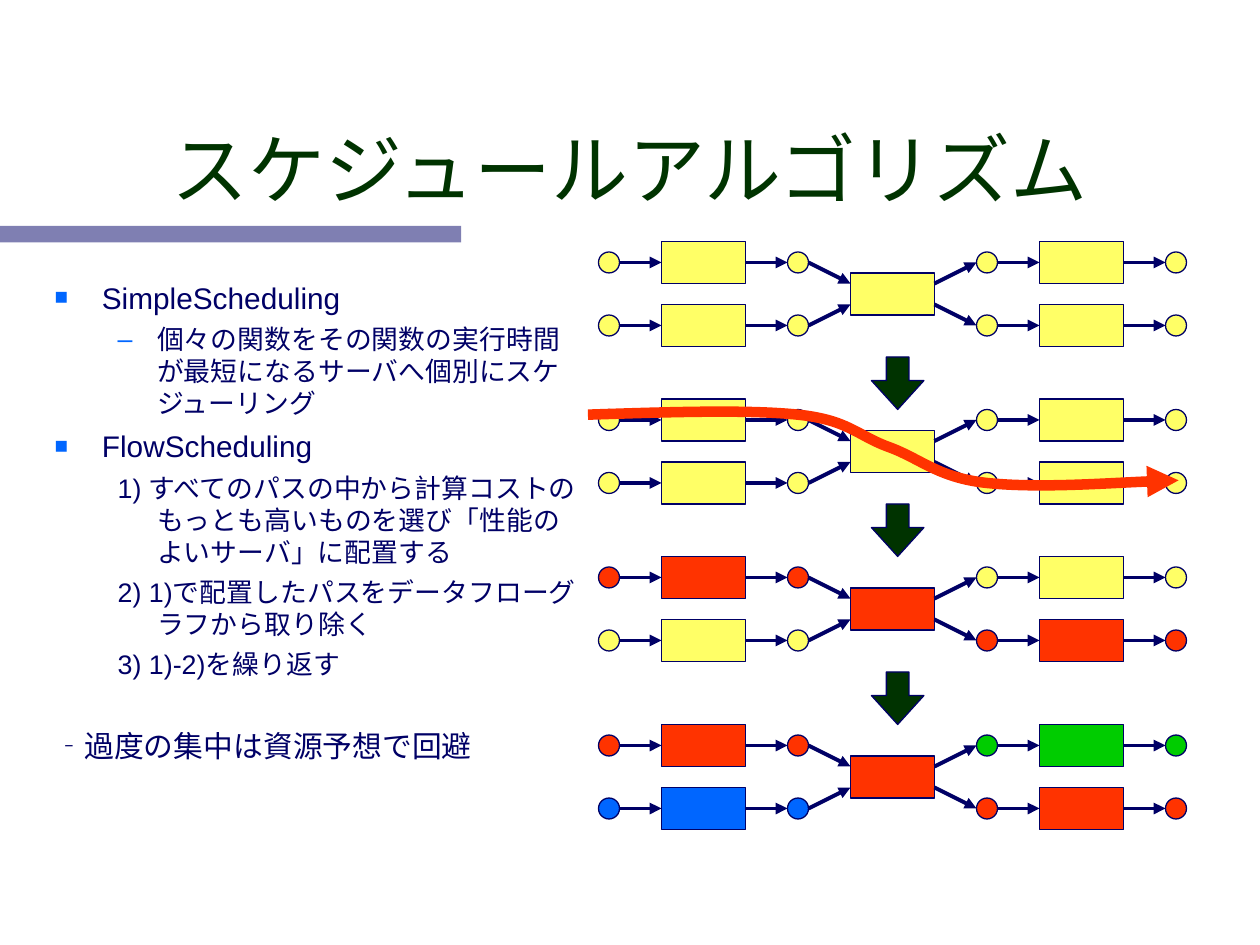
from dataclasses import dataclass
from itertools import product

from lxml import etree
from pptx import Presentation
from pptx.dml.color import RGBColor
from pptx.enum.shapes import MSO_CONNECTOR, MSO_SHAPE
from pptx.enum.text import MSO_ANCHOR, MSO_AUTO_SIZE, PP_ALIGN
from pptx.oxml.ns import qn
from pptx.util import Pt

RECT, OVAL, DOWN = MSO_SHAPE.RECTANGLE, MSO_SHAPE.OVAL, MSO_SHAPE.DOWN_ARROW
LINE = MSO_CONNECTOR.STRAIGHT
LEFT, CENTER = PP_ALIGN.LEFT, PP_ALIGN.CENTER
TOP, BOTTOM = MSO_ANCHOR.TOP, MSO_ANCHOR.BOTTOM
FIXED = MSO_AUTO_SIZE.NONE


@dataclass(frozen=True)
class Theme:
    font: str = "Arial"
    ink: str = "000066"
    dark: str = "003300"
    blue: str = "0066FF"
    red: str = "FF3300"
    green: str = "00CC00"
    yellow: str = "FFFF66"
    title: float = 44
    head: float = 17
    text: float = 15.3
    edge: float = 0.75
    link: float = 2.25
    flow: float = 6


THEME = Theme()
Y, R, G, B = THEME.yellow, THEME.red, THEME.green, THEME.blue

ITEMS = [
    ("SimpleScheduling", "head", "■", 0),
    ("個々の関数をその関数の実行時間が最短になるサーバへ個別にスケジューリング", "sub", "–", 4.5),
    ("FlowScheduling", "head", "■", 5),
    ("1) すべてのパスの中から計算コストのもっとも高いものを選び「性能のよいサーバ」に配置する", "sub", None, 4.5),
    ("2) 1)で配置したパスをデータフローグラフから取り除く", "sub", None, 4.5),
    ("3) 1)-2)を繰り返す", "sub", None, 4.5),
    ("‐過度の集中は資源予想で回避", "head", None, 27),
]
KINDS = {
    "head": {"level": 0, "size": THEME.head, "left": 27, "hang": 27, "scale": 75},
    "sub": {"level": 1, "size": THEME.text, "left": 58.5, "hang": 22.5, "scale": 100},
}
STAGES = [
    (138, (Y, Y, Y, Y, Y)),
    (228, (Y, Y, Y, Y, Y)),
    (318, (R, Y, R, Y, R)),
    (414, (R, B, R, G, R)),
]
CURVE = [
    (0, 3), (46, 1.5), (91, 0), (120, 3), (149, 6), (154, 15), (172, 21.5),
    (190, 28), (200, 39), (228, 42), (257, 45), (315, 41), (337.5, 40.5),
]


def style(item, values):
    for name, value in values.items():
        setattr(item, name, value)


def rgb(code):
    return RGBColor.from_string(code)


def node(parent, tag, **values):
    return etree.SubElement(parent, qn(f"a:{tag}"), values)


def place(item, box):
    style(item, dict(zip(("left", "top", "width", "height"), map(Pt, box))))


def stroke(line, color, width):
    line.color.rgb = rgb(color)
    line.width = Pt(width)


def tip(item):
    node(item.line._get_or_add_ln(), "tailEnd", type="triangle")


def shape(slide, kind, box, color, edge=True):
    item = slide.shapes.add_shape(kind, *map(Pt, box))
    item.shadow.inherit = False
    item.fill.solid()
    item.fill.fore_color.rgb = rgb(color)
    if edge:
        stroke(item.line, THEME.ink, THEME.edge)
    else:
        item.line.fill.background()
    return item


def arrow(slide, x, y, start, end):
    spots = (x + start[0], y + start[1], x + end[0], y + end[1])
    item = slide.shapes.add_connector(LINE, *map(Pt, spots))
    stroke(item.line, THEME.ink, THEME.link)
    tip(item)
    node(item.element.spPr, "effectLst")


def write(para, text, size, color):
    para.text = text
    style(para.font, {"name": THEME.font, "size": Pt(size)})
    para.font.color.rgb = rgb(color)


def frame(item, box, anchor):
    place(item, box)
    style(item.text_frame, {
        "word_wrap": True, "auto_size": FIXED, "vertical_anchor": anchor,
        "margin_left": Pt(7.2), "margin_right": Pt(7.2),
        "margin_top": Pt(3.6), "margin_bottom": Pt(3.6),
    })
    return item.text_frame


def bullet(para, mark, kind):
    props = para._p.get_or_add_pPr()
    props.set("marL", str(Pt(kind["left"])))
    props.set("indent", str(-Pt(kind["hang"])))
    if mark:
        node(node(props, "buClr"), "srgbClr", val=THEME.blue)
        node(props, "buSzPct", val=str(kind["scale"] * 1000))
        node(props, "buChar", char=mark)
    else:
        node(props, "buNone")


def header(slide, box):
    para = frame(slide.shapes.title, box, BOTTOM).paragraphs[0]
    para.alignment = CENTER
    write(para, "スケジュールアルゴリズム", THEME.title, THEME.dark)
    bar = shape(slide, RECT, (0, box[1] + 93, 263.5, 9.5), THEME.ink, False)
    tint = bar.element.spPr.find(f".//{qn('a:srgbClr')}")
    node(tint, "alpha", val="50000")


def notes(slide, box):
    body = frame(slide.placeholders[1], box, TOP)
    for i, (text, name, mark, gap) in enumerate(ITEMS):
        para = body.add_paragraph() if i else body.paragraphs[0]
        kind = KINDS[name]
        bullet(para, mark, kind)
        style(para, {"level": kind["level"], "alignment": LEFT,
                     "space_before": Pt(gap), "line_spacing": 1.0})
        write(para, text, kind["size"], THEME.ink)


def branch(slide, x, y, color):
    for start in (12, 84):
        arrow(slide, x, y, (start, 12), (start + 24, 12))
    shape(slide, RECT, (x + 36, y, 48, 24), color)
    for step in (0, 108):
        shape(slide, OVAL, (x + step, y + 6, 12, 12), color)


def graph(slide, x, y, colors):
    *sides, hub = colors[:2] + colors[3:] + colors[2:3]
    for (dx, dy), color in zip(product((0, 216), (0, 36)), sides):
        branch(slide, x + dx, y + dy, color)
    shape(slide, RECT, (x + 144, y + 18, 48, 24), hub)
    for far, near in ((12, 24), (48, 36)):
        arrow(slide, x, y, (120, far), (144, near))
        arrow(slide, x, y, (192, near), (216, far))


def flow(slide, x, y):
    spots = [(Pt(x + dx), Pt(y + dy)) for dx, dy in CURVE]
    form = slide.shapes.build_freeform(*spots[0])
    form.add_line_segments(spots[1:], close=False)
    item = form.convert_to_shape()
    item.shadow.inherit = False
    item.fill.background()
    stroke(item.line, THEME.red, THEME.flow)
    tip(item)
    steps = list(item.element.iter(qn("a:lnTo")))
    for i in range(0, len(steps), 3):
        bend = node(steps[i].getparent(), "cubicBezTo")
        for step in steps[i:i + 3]:
            bend.append(step[0])
            step.getparent().remove(step)


def stages(slide, x):
    for y, colors in STAGES:
        graph(slide, x, y, colors)
    flow(slide, x - 6, 234)
    for y in (204, 288, 384):
        item = shape(slide, DOWN, (x + 156, y, 30, 30), THEME.dark)
        item.adjustments[0], item.adjustments[1] = 0.43, 0.55


def main():
    deck = Presentation()
    style(deck, {"slide_width": Pt(720), "slide_height": Pt(540)})
    slide = deck.slides.add_slide(deck.slide_layouts[1])
    header(slide, (54, 36, 612, 90))
    notes(slide, (24, 156, 318, 324))
    stages(slide, 342)
    deck.save("out.pptx")


if __name__ == "__main__":
    main()
